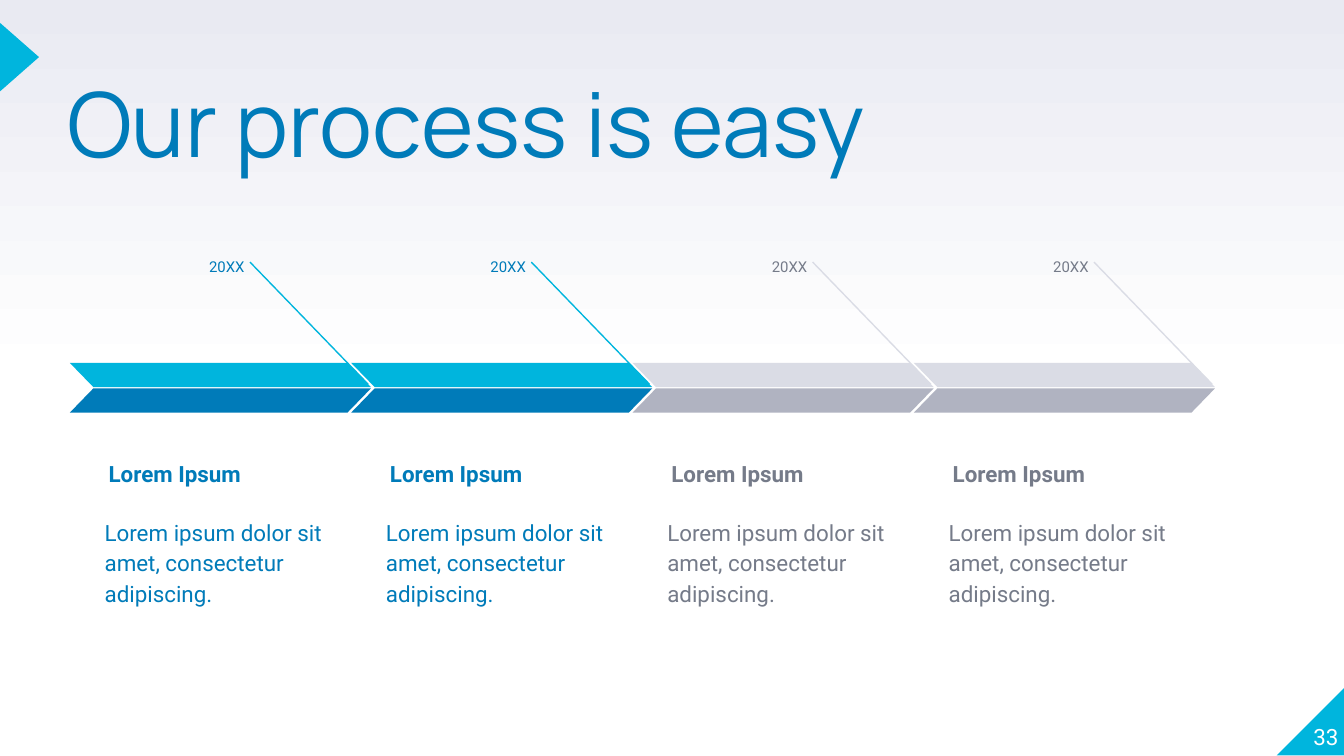
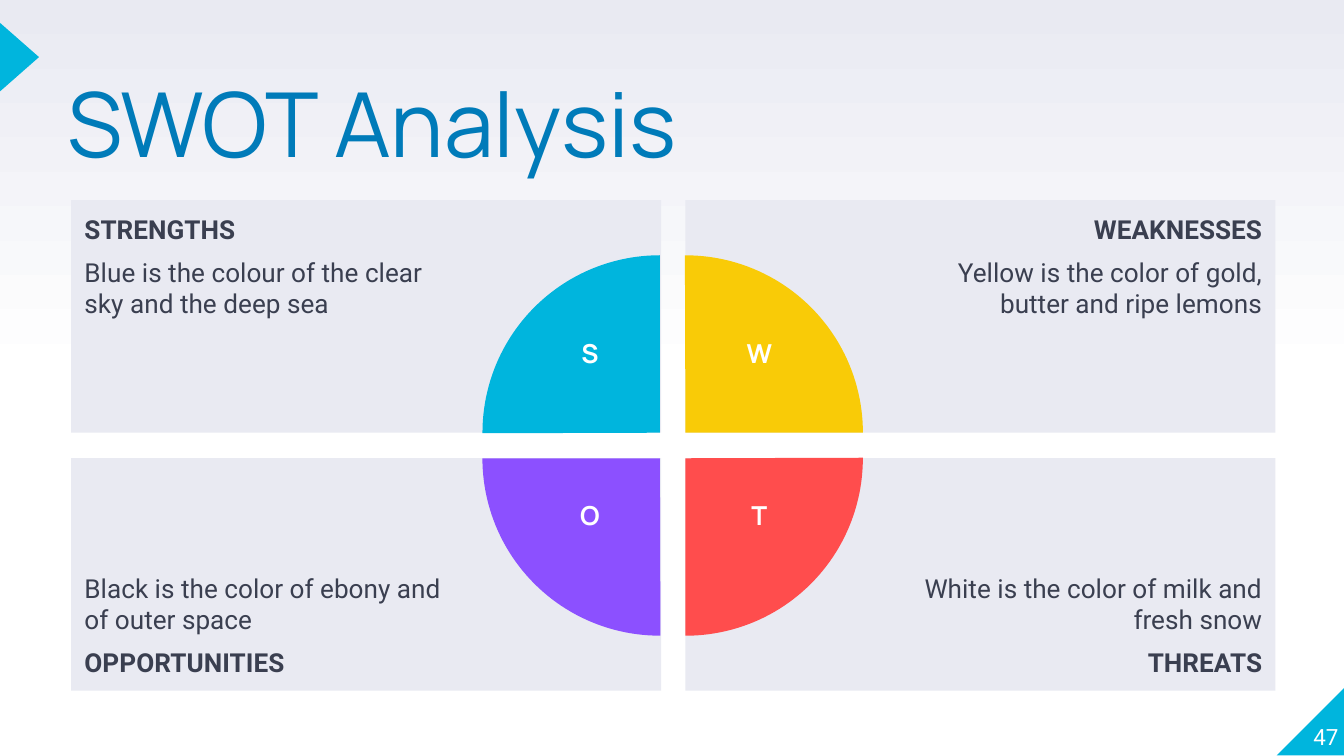
from copy import deepcopy

from pptx import Presentation
from pptx import util as u
from pptx.dml.color import RGBColor
from pptx.enum import shapes, text
from pptx.oxml.ns import qn

COLORS = {
    "cyan": "00B5DD", "blue": "007BB9", "silver": "DADCE5", "steel": "B0B3C1",
    "gray": "757B89", "ink": "3A3F50", "pale": "E9EAF2", "white": "FFFFFF",
    "yellow": "F9CB07", "red": "FF4D4D", "violet": "8C50FF",
}
HEAD, BODY = "Manrope", "Roboto"
SHAPE, ALIGN, ANCHOR = shapes.MSO_SHAPE, text.PP_ALIGN, text.MSO_ANCHOR
DONE = ("cyan", "blue", "blue")
PLANNED = ("silver", "steel", "gray")
STEPS = [("20XX", "Lorem Ipsum", "Lorem ipsum dolor sit amet, consectetur adipiscing.", tones)
         for tones in (DONE, DONE, PLANNED, PLANNED)]
SWOT = [
    ("STRENGTHS", "Blue is the colour of the clear sky and the deep sea", "S", 0.38, "cyan", 0, 0),
    ("WEAKNESSES", "Yellow is the color of gold, butter and ripe lemons", "W", 0.71, "yellow", 1, 0),
    ("THREATS", "White is the color of milk and fresh snow", "T", 0.4, "red", 1, 1),
    ("OPPORTUNITIES", "Black is the color of ebony and of outer space", "O", 0.47, "violet", 0, 1),
]


def rgb(name):
    """Return the named colour."""
    return RGBColor.from_string(COLORS[name])


def inches(*values):
    """Convert numbers to lengths."""
    return [u.Inches(v) for v in values]


def style(p, size, color, font=BODY, bold=False, align=ALIGN.LEFT, spacing=None, after=0):
    """Format one paragraph."""
    p.alignment, p.line_spacing = align, spacing
    p.space_after = u.Pt(after)
    f = p.font
    f.name, f.size, f.bold = font, u.Pt(size), bold
    f.color.rgb = rgb(color)


def frame(sp, insets, anchor=ANCHOR.TOP):
    """Set the insets and anchor of a shape's text and return its frame."""
    tf = sp.text_frame
    tf.word_wrap, tf.auto_size, tf.vertical_anchor = True, text.MSO_AUTO_SIZE.NONE, anchor
    tf.margin_left, tf.margin_top, tf.margin_right, tf.margin_bottom = inches(*insets)
    return tf


def add_text(parent, box, words, insets=(0.1, 0.1, 0.1, 0.1), anchor=ANCHOR.TOP, **fmt):
    """Add a text box with one formatted paragraph."""
    tf = frame(parent.add_textbox(*inches(*box)), insets, anchor)
    tf.text = words
    style(tf.paragraphs[0], **fmt)


def add_shape(parent, kind, box, color, rotation=0, flip=False, adjust=()):
    """Add a plain filled shape."""
    sp = parent.add_shape(kind, *inches(*box))
    sp.shadow.inherit = False
    sp.fill.solid()
    sp.fill.fore_color.rgb = rgb(color)
    sp.line.fill.background()
    sp.rotation = rotation
    for i, value in enumerate(adjust):
        sp.adjustments[i] = value
    if flip:
        sp._element.spPr.find(qn("a:xfrm")).set("flipH", "1")
    return sp


def set_background(master):
    """Fill the master with a gradient from white up to pale."""
    fill = master.background.fill
    fill.gradient()
    first = fill.gradient_stops[0]._gs
    first.addnext(deepcopy(first))
    fill.gradient_angle = 90
    for stop, (position, color) in zip(
            fill.gradient_stops, ((0, "white"), (0.5, "white"), (1, "pale"))):
        stop.position = position
        stop.color.rgb = rgb(color)


def decorate_master(prs, slide):
    """Draw the corner and edge triangles and move them to the master."""
    master = prs.slide_master
    set_background(master)
    marks = [
        add_shape(slide.shapes, SHAPE.RIGHT_TRIANGLE, (9.5, 5.11, 0.51, 0.51), "cyan", flip=True),
        add_shape(slide.shapes, SHAPE.ISOSCELES_TRIANGLE, (-0.11, 0.28, 0.51, 0.29), "cyan", 90),
    ]
    for sp in marks:
        master.shapes._spTree.append(sp._element)


def add_slide(prs, title, number):
    """Add a slide with its title and page number."""
    slide = prs.slides.add_slide(prs.slide_layouts[5])
    sp = slide.shapes.title
    sp.left, sp.top, sp.width, sp.height = inches(0.5, 0.66, 6.17, 1.18)
    tf = frame(sp, (0, 0, 0, 0))
    tf.text = title
    style(tf.paragraphs[0], 48, "blue", HEAD, spacing=0.8)
    add_text(slide.shapes, (9.46, 5.07, 0.5, 0.51), number, (0, 0, 0, 0), ANCHOR.BOTTOM,
             size=12, color="white", align=ALIGN.RIGHT)
    return slide


def add_step(slide, x, y, date, heading, body, tones):
    """Add one step of the timeline as a group."""
    light, dark, ink = tones
    group = slide.shapes.add_group_shape().shapes
    add_text(group, (x + 0.64, y, 0.76, 0.29), date,
             size=8, color=ink, align=ALIGN.RIGHT, spacing=1.15, after=16)
    add_text(group, (x + 0.19, y + 1.37, 1.84, 0.55), heading, anchor=ANCHOR.BOTTOM,
             size=12, color=ink, bold=True, spacing=1.15)
    add_text(group, (x + 0.16, y + 1.93, 1.89, 0.9), body,
             size=12, color=ink, spacing=1.15, after=16)
    line = group.add_connector(shapes.MSO_CONNECTOR.STRAIGHT,
                               *inches(x + 1.34, y + 0.15, x + 2.22, y + 1.06))
    line.line.color.rgb = rgb(light)
    line.line.width = u.Pt(0.75)
    spPr = line._element.spPr
    spPr.append(spPr.makeelement(qn("a:effectLst"), {}))
    for top, color, flip in ((0.9, light, True), (1.09, dark, False)):
        add_shape(group, SHAPE.PARALLELOGRAM, (x, y + top, 2.24, 0.18), color,
                  flip=flip, adjust=[0.97])


def process_slide(prs):
    """Build the timeline slide."""
    slide = add_slide(prs, "Our process is easy", "33")
    pitch = 6.28 / 3
    for i, step in enumerate(STEPS):
        add_step(slide, 0.52 + i * pitch, 1.8, *step)
    return slide


def add_card(slide, box, heading, body, right, low):
    """Add a panel whose text keeps to its outer corner."""
    sp = add_shape(slide.shapes, SHAPE.RECTANGLE, box, "pale")
    insets = (1.5, 0.1, 0.1, 0.1) if right else (0.1, 0.1, 1.5, 0.1)
    tf = frame(sp, insets, ANCHOR.BOTTOM if low else ANCHOR.TOP)
    lines = [(heading, True), (body, False)]
    if low:
        lines.reverse()
    tf.text = "\n".join(words for words, _ in lines)
    for i, (p, (_, bold)) in enumerate(zip(tf.paragraphs, lines)):
        style(p, 14, "ink", bold=bold, align=ALIGN.RIGHT if right else ALIGN.LEFT, after=6 * i)
        p.space_before = u.Pt(6 * i)


def swot_slide(prs):
    """Build the four panels and the split circle."""
    slide = add_slide(prs, "SWOT Analysis", "47")
    for heading, body, _, _, _, right, low in SWOT:
        add_card(slide, (0.53 + 4.57 * right, 1.49 + 1.92 * low, 4.39, 1.73),
                 heading, body, right, low)
    for i, (_, _, _, _, color, right, low) in enumerate(SWOT):
        add_shape(slide.shapes, SHAPE.PIE, (3.59 + 0.19 * right, 1.9 + 0.19 * low, 2.64, 2.64),
                  color, rotation=90 * i, adjust=[107.89, 162])
    for _, _, letter, width, _, right, low in SWOT:
        add_text(slide.shapes, (4.39 + 1.26 * right - width / 2, 2.46 + 1.21 * low, width, 0.48),
                 letter, (0.1, 0.05, 0.1, 0.05),
                 size=14, color="white", font=HEAD, bold=True, align=ALIGN.CENTER)


def main():
    """Build and save the deck."""
    prs = Presentation()
    prs.slide_width = u.Inches(10)
    prs.slide_height = prs.slide_width * 9 // 16
    decorate_master(prs, process_slide(prs))
    swot_slide(prs)
    prs.save("out.pptx")


if __name__ == "__main__":
    main()
